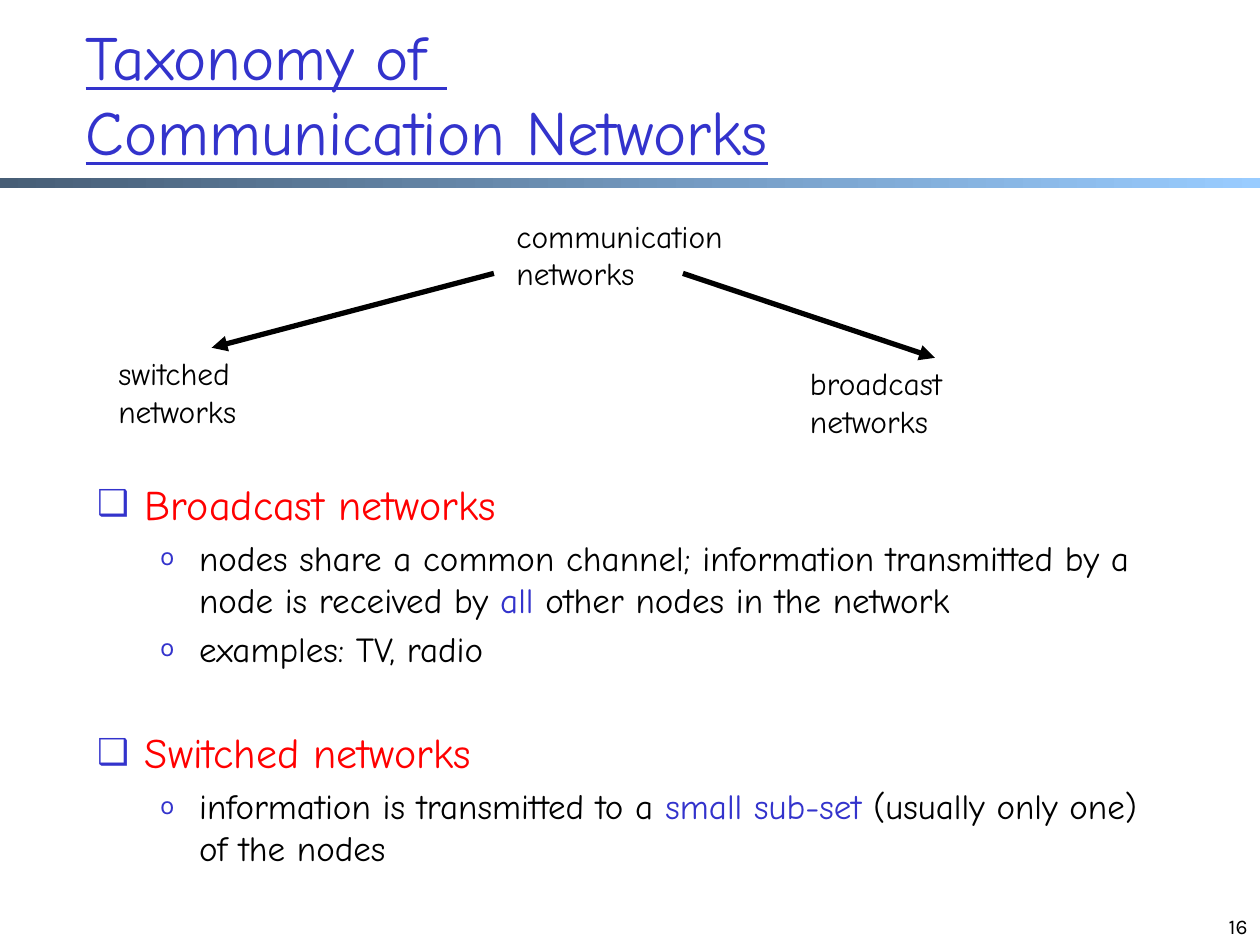
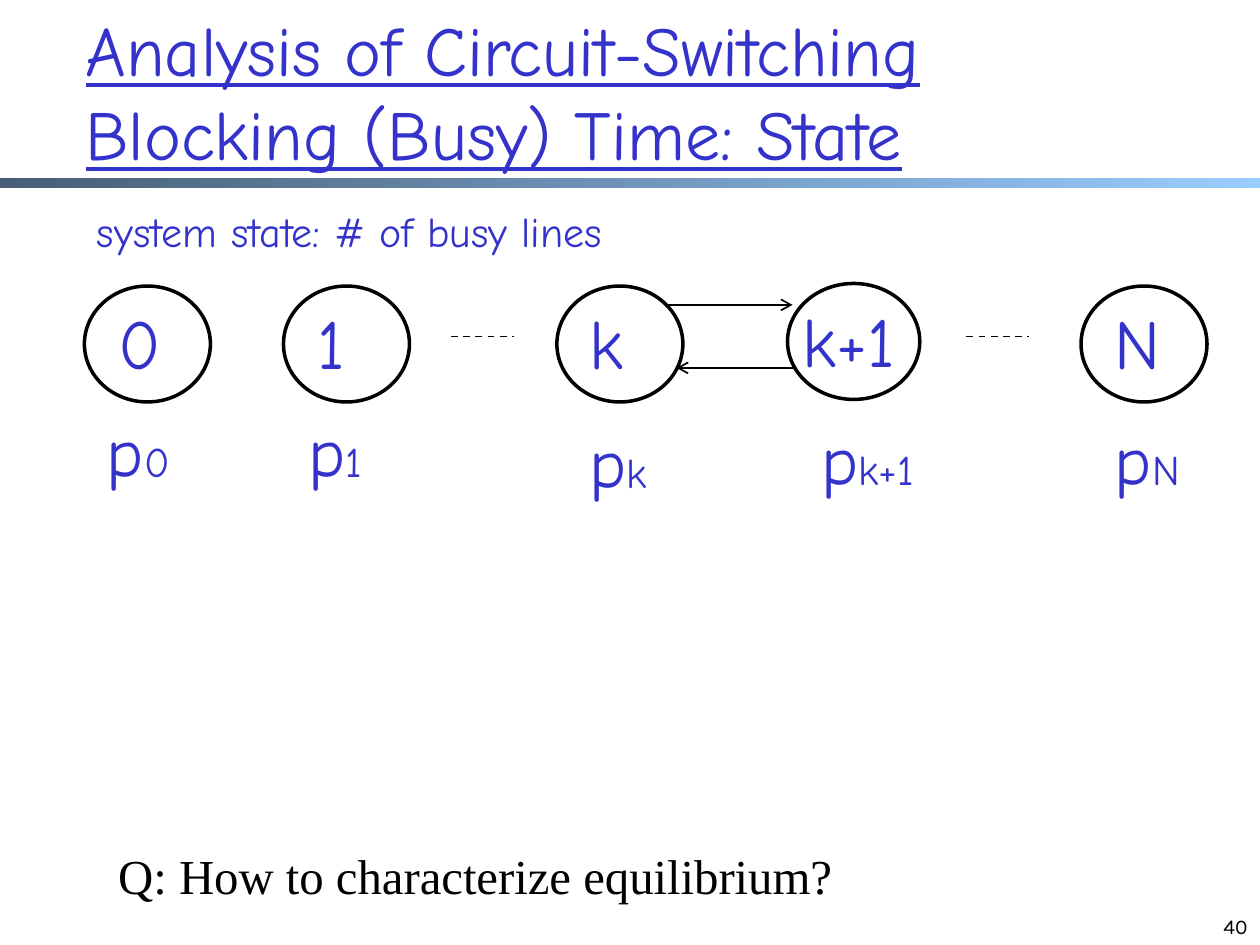
from dataclasses import dataclass

from lxml import etree
from pptx import Presentation
from pptx.dml.color import RGBColor
from pptx.enum.dml import MSO_LINE
from pptx.enum.shapes import MSO_CONNECTOR, MSO_SHAPE
from pptx.enum.text import MSO_ANCHOR, MSO_AUTO_SIZE, PP_ALIGN
from pptx.oxml.ns import qn
from pptx.util import Inches, Pt

RECTANGLE, OVAL = MSO_SHAPE.RECTANGLE, MSO_SHAPE.OVAL
STRAIGHT, CURVE = MSO_CONNECTOR.STRAIGHT, MSO_CONNECTOR.CURVE
TOP, MIDDLE, BOTTOM = MSO_ANCHOR.TOP, MSO_ANCHOR.MIDDLE, MSO_ANCHOR.BOTTOM
LEFT, RIGHT = PP_ALIGN.LEFT, PP_ALIGN.RIGHT
NO_FIT = MSO_AUTO_SIZE.NONE
DASH = MSO_LINE.DASH
TITLE_AND_BODY, TITLE_ONLY = 1, 5


@dataclass(frozen=True)
class Theme:
    blue: str = "3333CC"
    red: str = "FF0000"
    black: str = "000000"
    band: tuple = ("475E76", "99CCFF")
    hand: str = "Comic Neue"
    sans: str = "Karla"
    serif: str = "Times New Roman"
    title: float = 40
    long_title: float = 35.9
    symbol: float = 39.9
    question: float = 27.9
    head: float = 24
    item: float = 20
    node: float = 18
    footer: float = 12


T = Theme()

# Bullet character, size in percent, left margin and hanging indent in inches
BULLETS = (("❑", 85, 0.38, 0.38), ("o", 75, 0.81, 0.31))


def set_format(target, values):
    for name, value in values.items():
        setattr(target, name, value)


def add_run(p, text, size, color=T.black, font=T.hand, underline=None):
    r = p.add_run()
    r.text = text
    set_format(r.font, {"name": font, "size": Pt(size), "underline": underline})
    r.font.color.rgb = RGBColor.from_string(color)


def place(shape, left, top, width, height):
    set_format(shape, {"left": Inches(left), "top": Inches(top),
                       "width": Inches(width), "height": Inches(height)})


def add_text(s, box, runs, wrap=True, align=LEFT, anchor=TOP):
    """Add a one-paragraph text box; each run is the arguments of add_run."""
    tf = s.shapes.add_textbox(*map(Inches, box)).text_frame
    set_format(tf, {"word_wrap": wrap, "vertical_anchor": anchor})
    p = tf.paragraphs[0]
    p.alignment = align
    for run in runs:
        add_run(p, *run)


def add_line(s, start, end, width, kind=STRAIGHT, arrow=None, dash=None):
    line = s.shapes.add_connector(kind, *map(Inches, start + end))
    line.line.color.rgb = RGBColor.from_string(T.black)
    line.line.width = Pt(width)
    if dash:
        line.line.dash_style = dash
    if arrow:
        etree.SubElement(line.line._get_or_add_ln(), qn("a:tailEnd"), type=arrow)
    etree.SubElement(line.element.spPr, qn("a:effectLst"))


def add_oval(s, box):
    oval = s.shapes.add_shape(OVAL, *map(Inches, box))
    oval.shadow.inherit = False
    oval.fill.background()
    oval.line.color.rgb = RGBColor.from_string(T.black)
    oval.line.width = Pt(2)


def add_bullet(p, level):
    char, percent, margin, hanging = BULLETS[level]
    p.level = level
    pPr = p._p.get_or_add_pPr()
    pPr.set("marL", str(Inches(margin)))
    pPr.set("indent", str(-Inches(hanging)))
    color = etree.SubElement(pPr, qn("a:buClr"))
    etree.SubElement(color, qn("a:srgbClr"), val=T.blue)
    etree.SubElement(pPr, qn("a:buSzPct"), val=str(percent * 1000))
    etree.SubElement(pPr, qn("a:buFont"), typeface=T.sans)
    etree.SubElement(pPr, qn("a:buChar"), char=char)


def fill_body(body, topics):
    """Write each topic as a red heading with its bulleted items."""
    place(body, 0.67, 3.75, 8.5, 3.33)
    tf = body.text_frame
    tf.auto_size = NO_FIT
    for n, (heading, items) in enumerate(topics):
        p = tf.add_paragraph() if n else tf.paragraphs[0]
        add_bullet(p, 0)
        p.space_before = Pt(33 if n else 0)
        add_run(p, heading, T.head, T.red)
        for runs in items:
            p = tf.add_paragraph()
            add_bullet(p, 1)
            p.space_before = Pt(4)
            for text, color in runs:
                add_run(p, text, T.item, color)


def add_slide(prs, layout, title, size, number, anchor=MIDDLE):
    s = prs.slides.add_slide(prs.slide_layouts[layout])
    place(s.shapes.title, 0.58, 0.09, 8.5, 1.25)
    tf = s.shapes.title.text_frame
    set_format(tf, {"auto_size": NO_FIT, "vertical_anchor": anchor})
    p = tf.paragraphs[0]
    p.alignment = LEFT
    add_run(p, title, size, T.blue, T.hand, True)
    # Runs cannot hold a line break, so a two-line title is split here
    add_text(s, (7.67, 7, 2.33, 0.5),
             [(number, T.footer, T.black, T.sans)], align=RIGHT, anchor=BOTTOM)
    return s


def add_lines(p, text, *style):
    """Add text with a line break at each newline."""
    for n, line in enumerate(text.split("\n")):
        if n:
            p.add_line_break()
        add_run(p, line, *style)


def add_master_band(prs, s):
    """Draw the gradient band on a slide and move it to the master."""
    band = s.shapes.add_shape(RECTANGLE, 0, Inches(1.41), prs.slide_width, Inches(0.08))
    band.shadow.inherit = False
    band.line.fill.background()
    band.fill.gradient()
    band.fill.gradient_angle = 0
    for stop, color in zip(band.fill.gradient_stops, T.band):
        stop.color.rgb = RGBColor.from_string(color)
    prs.slide_master.shapes.element.append(band.element)


def add_tree_node(s, left, top, text):
    tf = s.shapes.add_textbox(*map(Inches, (left, top, 2.25, 0.7))).text_frame
    tf.word_wrap = True
    add_lines(tf.paragraphs[0], text, T.node)


def build_taxonomy(prs):
    s = add_slide(prs, TITLE_AND_BODY, "", T.long_title, "16", TOP)
    add_lines(s.shapes.title.text_frame.paragraphs[0],
              "Taxonomy of \nCommunication Networks",
              T.long_title, T.blue, T.hand, True)
    fill_body(s.placeholders[1], [
        ("Broadcast networks", [
            [("nodes share a common channel; information transmitted by a node "
              "is received by ", T.black),
             ("all", T.blue), (" other nodes in the network", T.black)],
            [("examples: TV, radio", T.black)]]),
        ("Switched networks", [
            [("information is transmitted to a ", T.black),
             ("small sub-set", T.blue),
             (" (usually only one) of the nodes", T.black)]]),
    ])
    add_tree_node(s, 4, 1.67, "communication networks")
    add_tree_node(s, 6.33, 2.84, "broadcast\nnetworks")
    add_tree_node(s, 0.84, 2.76, "switched\nnetworks")
    add_line(s, (3.92, 2.17), (1.68, 2.76), 3, arrow="triangle")
    add_line(s, (5.42, 2.17), (7.42, 2.84), 3, arrow="triangle")
    return s


def build_state_chain(prs):
    s = add_slide(prs, TITLE_ONLY,
                  "Analysis of Circuit-Switching Blocking (Busy) Time: State",
                  T.title, "40")
    add_text(s, (0.67, 1.58, 4.79, 0.5),
             [("system state: # of busy lines", T.head, T.blue)], wrap=False)

    # State, oval box, then left, top and width of its name and probability
    states = [
        ("0", (0.67, 2.27, 1, 0.92), (0.84, 2.33, 0.54), (0.75, 3.19, 0.71)),
        ("1", (2.25, 2.27, 1, 0.92), (2.42, 2.33, 0.45), (2.35, 3.19, 0.65)),
        ("k", (4.42, 2.27, 1, 0.92), (4.58, 2.33, 0.5), (4.58, 3.27, 0.68)),
        ("k+1", (6.25, 2.25, 1.05, 0.92), (6.27, 2.31, 1.03), (6.42, 3.25, 1)),
        ("N", (8.58, 2.27, 1, 0.92), (8.75, 2.33, 0.65), (8.75, 3.25, 0.77)),
    ]
    for state, oval, name, probability in states:
        add_oval(s, oval)
        add_text(s, name + (0.77,), [(state, T.symbol, T.blue)], wrap=False)
        add_text(s, probability + (0.77,),
                 [("p", T.symbol, T.blue), (state, T.head, T.blue)], wrap=False)

    for left in (3.58, 7.67):
        add_line(s, (left, 2.67), (left + 0.5, 2.67), 1, dash=DASH)
    add_line(s, (5.29, 2.42), (6.29, 2.42), 1, CURVE, arrow="arrow")
    add_line(s, (6.29, 2.92), (5.37, 2.92), 1, arrow="arrow")
    add_text(s, (0.84, 6.66, 5.93, 0.57),
             [("Q: How to characterize equilibrium?", T.question, T.black, T.serif)],
             wrap=False)


def main():
    prs = Presentation()
    prs.slide_width, prs.slide_height = Inches(10), Inches(7.5)
    add_master_band(prs, build_taxonomy(prs))
    build_state_chain(prs)
    prs.save("out.pptx")


if __name__ == "__main__":
    main()
